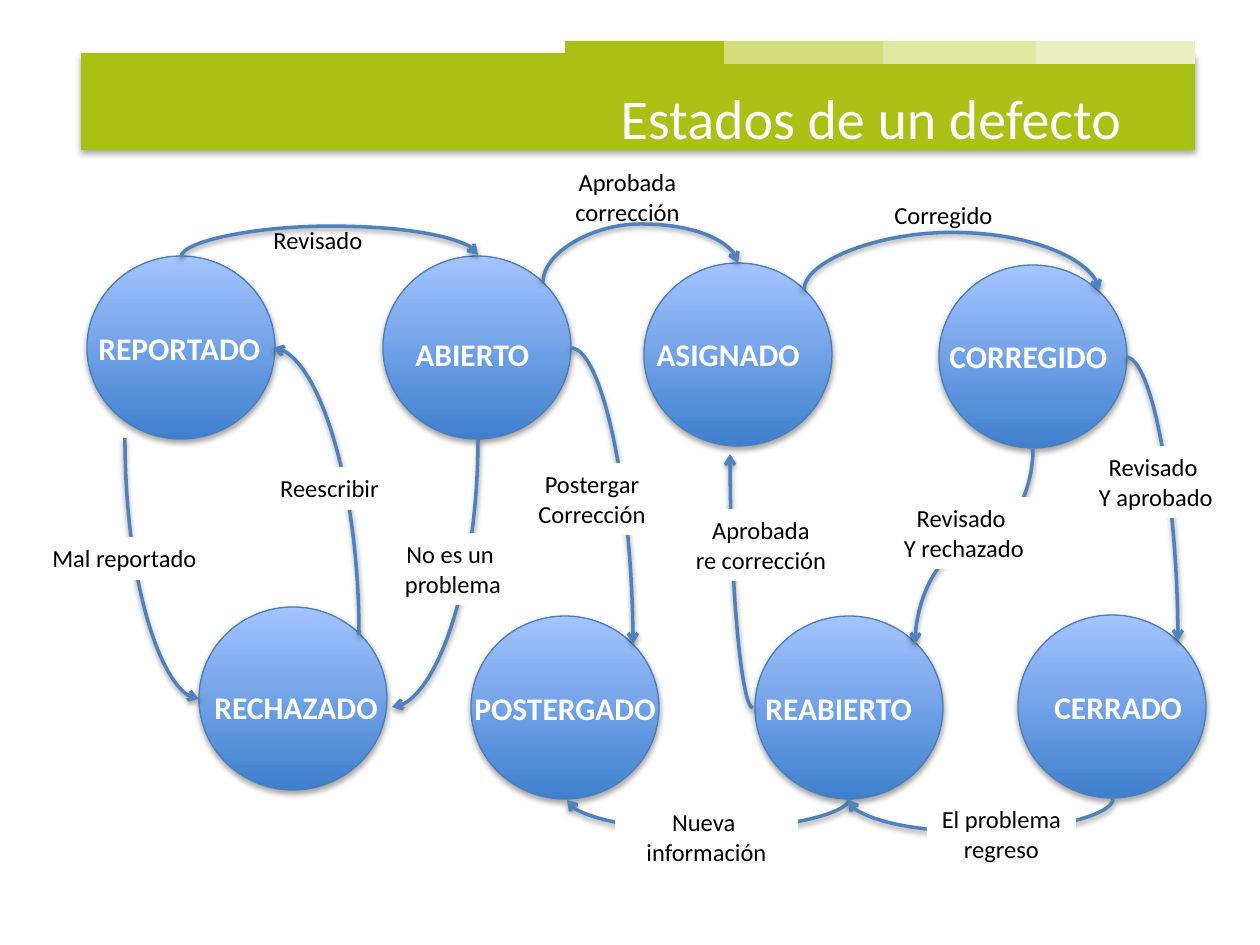
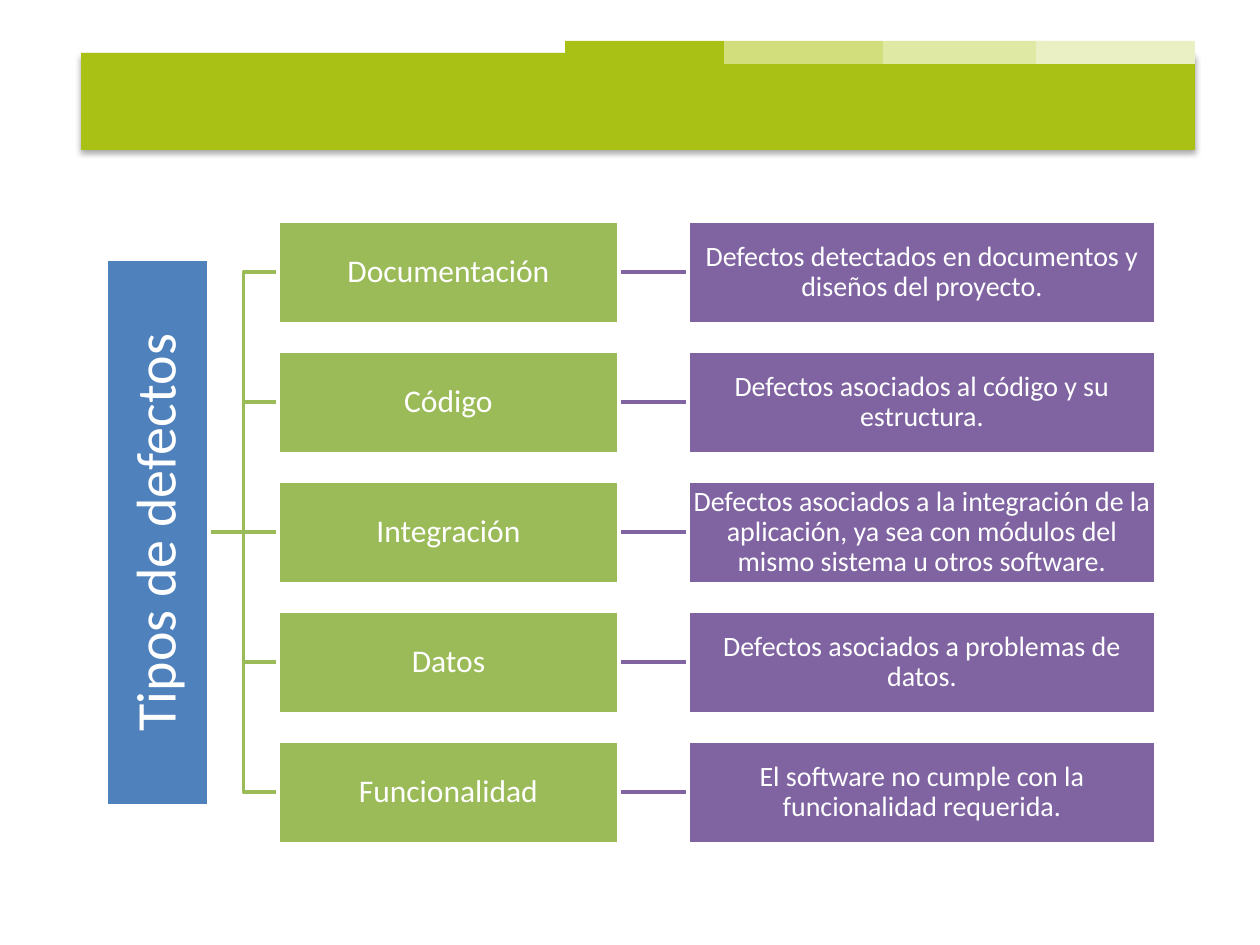
from lxml.etree import SubElement
from pptx import Presentation
from pptx.dml.color import RGBColor
from pptx.enum.shapes import MSO_CONNECTOR, MSO_SHAPE
from pptx.enum.text import MSO_ANCHOR, MSO_AUTO_SIZE, PP_ALIGN
from pptx.oxml.ns import qn
from pptx.util import Pt

PX = 914400 / 126
FONT = "Calibri"
WHITE = RGBColor(0xFF, 0xFF, 0xFF)
BLACK = RGBColor(0, 0, 0)
LIME = RGBColor(0xA9, 0xC1, 0x14)
TINTS = [LIME, RGBColor(0xD2, 0xDE, 0x7B), RGBColor(0xDF, 0xE9, 0xA4), RGBColor(0xEA, 0xF0, 0xC4)]
BLUE = RGBColor(0x4F, 0x81, 0xBD)
RIM = RGBColor(0x4B, 0x7E, 0xBC)
DEEP = RGBColor(0x3F, 0x80, 0xCE)
PALE = RGBColor(0xA4, 0xC4, 0xFF)
GREEN = RGBColor(0x9B, 0xBB, 0x59)
PURPLE = RGBColor(0x80, 0x64, 0xA2)

STATES = [
    ("REPORTADO", 87, 256, -1, 67, 189),
    ("ABIERTO", 383, 256, 20, 73, 140),
    ("ASIGNADO", 644, 263, 0, 66, 170),
    ("CORREGIDO", 939, 265, -2, 66, 184),
    ("RECHAZADO", 199, 607, 3, 75, 190),
    ("REABIERTO", 755, 616, -2, 67, 173),
    ("POSTERGADO", 471, 616, -9, 67, 208),
    ("CERRADO", 1018, 615, 24, 67, 154),
]
LINKS = [
    ((125, 438), (199, 699), 270, "h", None),
    ((359, 635), (273, 348), 270, "v", None),
    ((181, 257), (478, 255), 90, "hv", 226),
    ((478, 438), (392, 707), 90, "", None),
    ((543, 282), (738, 263), 90, "hv", 224),
    ((804, 290), (1099, 291), 270, "h", 232),
    ((1126, 357), (1178, 641), 0, "", None),
    ((1033, 449), (915, 644), 90, "", 546),
    ((753, 708), (730, 454), 180, "", None),
    ((571, 348), (633, 644), 0, "", None),
    ((849, 799), (567, 800), 90, "", 830),
    ((1113, 799), (848, 800), 90, "", 832),
]
NOTES = [
    ("Aprobada\ncorrección", (562, 161, 131, 72), None, False),
    ("Revisado", (260, 219, 116, 43), None, False),
    ("Corregido", (881, 194, 125, 43), None, False),
    ("Revisado \nY aprobado", (1086, 446, 140, 72), WHITE, False),
    ("Revisado \nY rechazado", (891, 497, 146, 72), WHITE, False),
    ("Aprobada\nre corrección", (683, 509, 156, 72), WHITE, False),
    ("Postergar\nCorrección", (525, 463, 134, 72), WHITE, False),
    ("No es un \nproblema", (392, 533, 122, 72), WHITE, False),
    ("Reescribir", (267, 467, 125, 43), WHITE, False),
    ("Mal reportado", (39, 537, 171, 43), WHITE, False),
    ("Nueva \ninformación", (615, 801, 183, 72), WHITE, True),
    ("El problema regreso", (927, 798, 149, 102), WHITE, True),
]
TYPES = [
    ("Documentación", "Defectos detectados en documentos y diseños del proyecto."),
    ("Código", "Defectos asociados al código y su estructura."),
    ("Integración", "Defectos asociados a la integración de la aplicación, "
     "ya sea con módulos del mismo sistema u otros software."),
    ("Datos", "Defectos asociados a problemas de datos."),
    ("Funcionalidad", "El software no cumple con la funcionalidad requerida."),
]


def emu(*sizes):
    return [round(size * PX) for size in sizes]


def write(frame, text, size=14, color=BLACK, bold=False, align=PP_ALIGN.CENTER,
          anchor=MSO_ANCHOR.TOP, wrap=True, grow=False, inset=None, lead=None):
    frame.text = text
    frame.word_wrap = wrap
    frame.vertical_anchor = anchor
    frame.auto_size = MSO_AUTO_SIZE.SHAPE_TO_FIT_TEXT if grow else MSO_AUTO_SIZE.NONE
    if inset is not None:
        frame.margin_left = frame.margin_right = emu(inset)[0]
        frame.margin_top = frame.margin_bottom = emu(inset)[0]
    for para in frame.paragraphs:
        para.alignment = align
        if lead:
            para.line_spacing = lead
        for run in para.runs:
            run.font.name = FONT
            run.font.size = Pt(size)
            run.font.bold = bold
            run.font.color.rgb = color


def shade(shape, alpha, dist):
    props = shape._element.spPr
    for old in props.findall(qn("a:effectLst")):
        props.remove(old)
    effect = SubElement(props, qn("a:effectLst"))
    if alpha:
        cast = SubElement(effect, qn("a:outerShdw"), blurRad="40000", dist=str(dist),
                          dir="5400000", rotWithShape="0")
        tone = SubElement(cast, qn("a:srgbClr"), val="000000")
        SubElement(tone, qn("a:alpha"), val=str(alpha * 1000))


def block(slide, box, fill, edge=None):
    shape = slide.shapes.add_shape(MSO_SHAPE.RECTANGLE, *emu(*box))
    shape.shadow.inherit = False
    shape.fill.solid()
    shape.fill.fore_color.rgb = fill
    if edge:
        shape.line.color.rgb = edge
        shape.line.width = Pt(2)
    else:
        shape.line.fill.background()
    return shape


def band(slide, box):
    left, top, width, height = box
    shade(block(slide, box, LIME), 35, 23000)
    for start, tint in zip((484, 643, 802, 955), TINTS):
        block(slide, (left + start, top - 12, 159, 23), tint)


def head(slide, text, box):
    title = slide.shapes.title
    title.left, title.top, title.width, title.height = emu(*box)
    write(title.text_frame, text, size=32, color=WHITE, align=PP_ALIGN.RIGHT,
          anchor=MSO_ANCHOR.MIDDLE)
    slide.shapes._spTree.append(title._element)


def state(slide, name, left, top, dx, dy, width):
    disc = slide.shapes.add_shape(MSO_SHAPE.OVAL, *emu(left, top, 188, 183))
    disc.fill.gradient()
    disc.fill.gradient_angle = 90
    for stop, place, tone in zip(disc.fill.gradient_stops, (0, 1), (DEEP, PALE)):
        stop.position = place
        stop.color.rgb = tone
    disc.line.color.rgb = RIM
    disc.line.width = Pt(0.75)
    shade(disc, 35, 23000)
    label = slide.shapes.add_textbox(*emu(left + dx, top + dy, width, 50))
    write(label.text_frame, name, size=18, color=WHITE, bold=True,
          align=PP_ALIGN.LEFT, wrap=False, grow=True)


def wire(slide, kind, start, end, color):
    line = slide.shapes.add_connector(kind, *emu(*start, *end))
    line.line.color.rgb = color
    line.line.width = Pt(2)
    shade(line, 0, 0)
    return line


def link(slide, start, end, turn, flip, bend):
    curve = wire(slide, MSO_CONNECTOR.CURVE, start, end, BLUE)
    (x1, y1), (x2, y2) = start, end
    width, height = abs(x2 - x1), abs(y2 - y1)
    if turn in (90, 270):
        width, height = height, width
    curve.left, curve.top, curve.width, curve.height = emu(
        (x1 + x2 - width) / 2, (y1 + y2 - height) / 2, width, height)
    props = curve._element.spPr
    frame = props.find(qn("a:xfrm"))
    frame.set("rot", str(turn * 60000))
    for axis in "hv":
        frame.set("flip" + axis.upper(), str(int(axis in flip)))
    shape = props.find(qn("a:prstGeom"))
    if bend is None:
        shape.set("prst", "curvedConnector2")
    else:
        ratio = round((bend - y1) / (y2 - y1) * 100000)
        guides = shape.find(qn("a:avLst"))
        SubElement(guides, qn("a:gd"), name="adj1", fmla=f"val {ratio}")
    SubElement(props.find(qn("a:ln")), qn("a:tailEnd"), type="arrow")
    shade(curve, 38, 20000)


def note(slide, text, box, fill, wrap):
    shape = block(slide, box, fill) if fill else slide.shapes.add_textbox(*emu(*box))
    write(shape.text_frame, text, wrap=wrap, grow=True)


def flow(slide):
    for item in STATES:
        state(slide, *item)
    for item in LINKS:
        link(slide, *item)
    for item in NOTES:
        note(slide, *item)


def tree(slide, box):
    left, top, width, height = box
    tall, long = 103, 547
    step = (height - tall) // (len(TYPES) - 1)
    mid = top + height // 2
    kind_x, info_x = left + 172, left + 582
    look = dict(color=WHITE, anchor=MSO_ANCHOR.MIDDLE, lead=0.9)
    for row, (kind, info) in enumerate(TYPES):
        y = top + row * step
        axis = y + tall // 2
        bent = MSO_CONNECTOR.STRAIGHT if axis == mid else MSO_CONNECTOR.ELBOW
        wire(slide, bent, (left + tall, mid), (kind_x, axis), GREEN)
        wire(slide, MSO_CONNECTOR.STRAIGHT, (kind_x + 341, axis), (info_x, axis), PURPLE)
        cell = block(slide, (kind_x, y, 341, tall), GREEN, WHITE)
        write(cell.text_frame, kind, size=18, inset=1, **look)
        cell = block(slide, (info_x, y, width - 582, tall), PURPLE, WHITE)
        write(cell.text_frame, info, size=16, inset=1, **look)
    root = block(slide, (left + (tall - long) // 2, mid - tall // 2, long, tall), BLUE, WHITE)
    root.rotation = 270
    write(root.text_frame, "Tipos de defectos", size=32, inset=3, **look)


def main():
    deck = Presentation()
    deck.slide_width, deck.slide_height = emu(1260, 945)
    slides = [deck.slides.add_slide(deck.slide_layouts[index]) for index in (5, 6)]
    for slide in slides:
        band(slide, (81, 53, 1114, 97))
    head(slides[0], "Estados de un defecto", (0, 38, 1134, 158))
    flow(slides[0])
    tree(slides[1], (106, 221, 1050, 623))
    deck.save("out.pptx")


if __name__ == "__main__":
    main()
